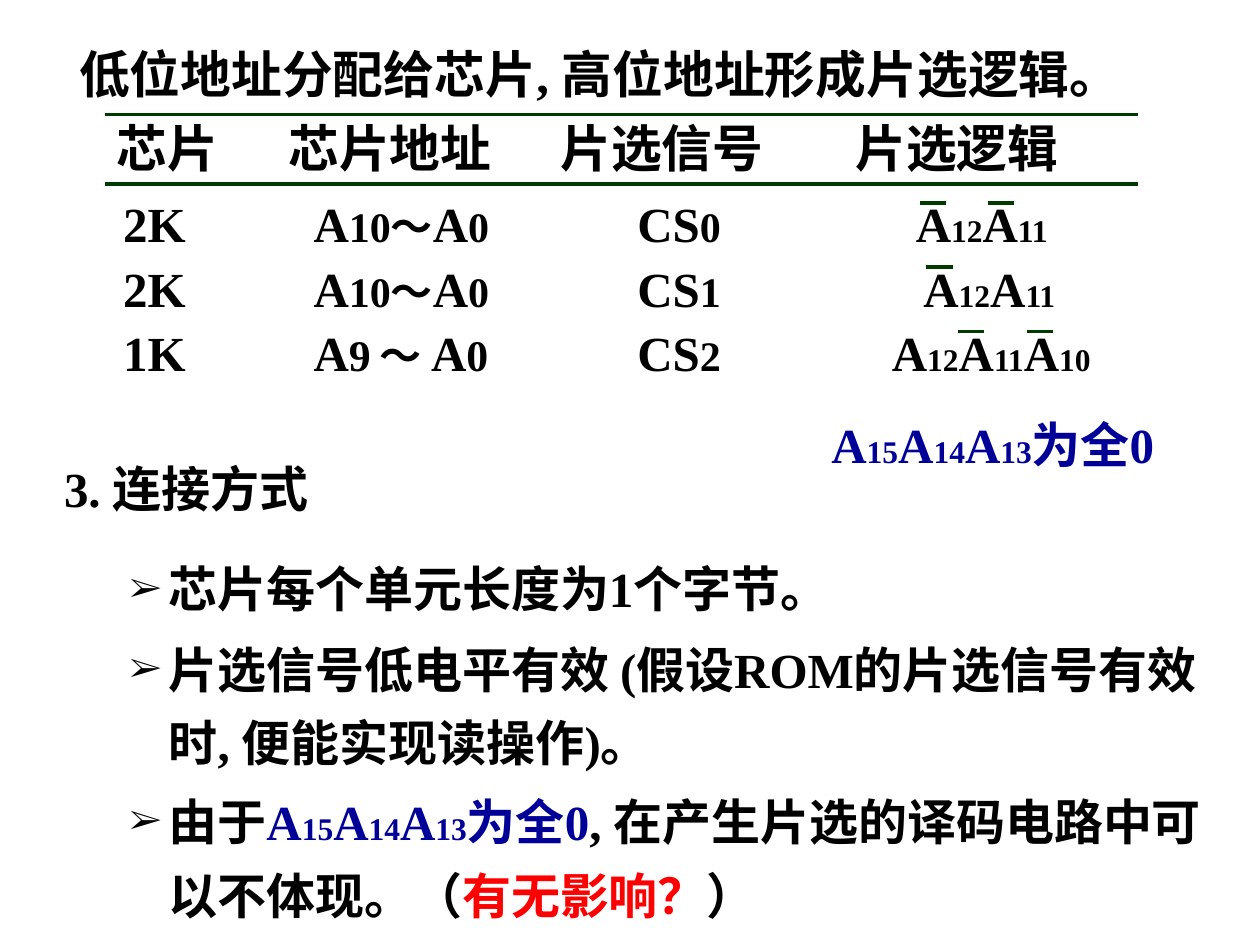
from lxml import etree
from pptx import Presentation
from pptx.dml.color import RGBColor
from pptx.enum.shapes import MSO_CONNECTOR
from pptx.oxml.ns import qn
from pptx.util import Inches, Pt

BLACK = RGBColor(0x00, 0x00, 0x00)
NAVY = RGBColor(0x00, 0x00, 0x99)
RED = RGBColor(0xFF, 0x00, 0x00)
GREEN = RGBColor(0x00, 0x3C, 0x00)

prs = Presentation()
prs.slide_width, prs.slide_height = Inches(10), Inches(7.5)
slide = prs.slides.add_slide(prs.slide_layouts[6])


def add_text(left, top, width, height, *paragraphs):
    box = slide.shapes.add_textbox(Inches(left), Inches(top), Inches(width), Inches(height))
    frame = box.text_frame
    frame.word_wrap = True
    for index, runs in enumerate(paragraphs):
        paragraph = frame.add_paragraph() if index else frame.paragraphs[0]
        for text, size, color in runs:
            run = paragraph.add_run()
            run.text = text
            run.font.name = "Times New Roman"
            run.font.size = Pt(size)
            run.font.bold = True
            run.font.color.rgb = color
    return frame


def add_line(left, top, length):
    line = slide.shapes.add_connector(
        MSO_CONNECTOR.STRAIGHT, Inches(left), Inches(top), Inches(left + length), Inches(top))
    line.line.color.rgb = GREEN
    line.line.width = Pt(2)
    etree.SubElement(line._element.spPr, qn("a:effectLst"))


add_text(0.53, 0.29, 9.54, 0.58, [("低位地址分配给芯片, 高位地址形成片选逻辑。", 29, BLACK)])

header = add_text(0.83, 0.88, 8.17, 0.58, [("芯片\t芯片地址\t片选信号\t片选逻辑", 29, BLACK)])
tabs = etree.SubElement(header.paragraphs[0]._p.get_or_add_pPr(), qn("a:tabLst"))
for position in (1.36, 3.52, 5.86):
    etree.SubElement(tabs, qn("a:tab"), pos=str(Inches(position)), algn="l")
for top in (0.91, 1.46):
    add_line(0.83, top, 8.2)

full_range = [("A", 28), ("10～", 24), ("A", 28), ("0", 24)]
short_range = [("A", 28), ("9", 25), (" ", 20), ("～ ", 24), ("A", 28), ("0", 25)]
chips = [
    ("2K", full_range, "0", 7.17, ("12", "11"), (0.13, 0.67)),
    ("2K", full_range, "1", 7.23, ("12", "11"), (0.12,)),
    ("1K", short_range, "2", 6.98, ("12", "11", "10"), (0.62, 1.17)),
]
for row, (capacity, address, select, logic_left, bits, bars) in enumerate(chips):
    top = 1.49 + row * 0.51
    logic = [part for bit in bits for part in (("A", 28), (bit, 18))]
    cells = [
        (0.88, 1.17, [(capacity, 28)]),
        (2.39, 1.92, address),
        (4.96, 1.22, [("CS", 28), (select, 24)]),
        (logic_left, 2.28, logic),
    ]
    for left, width, parts in cells:
        add_text(left, top, width, 0.57, [(text, size, BLACK) for text, size in parts])
    for offset in bars:
        add_line(logic_left + offset, top + 0.12, 0.21)

all_zero = [part for bit in ("15", "14", "13") for part in (("A", 28, NAVY), (bit, 18, NAVY))]
all_zero.append(("为全0", 28, NAVY))
add_text(6.5, 3.24, 3.25, 0.57, all_zero)
add_text(0.41, 3.59, 3.22, 0.57, [("3. 连接方式", 28, BLACK)])

notes = add_text(
    0.93, 4.27, 8.98, 3.1,
    [("芯片每个单元长度为1个字节。", 28, BLACK)],
    [("片选信号低电平有效 (假设ROM的片选信号有效时, 便能实现读操作)。", 28, BLACK)],
    [("由于", 28, BLACK), *all_zero,
     (", 在产生片选的译码电路中可以不体现。（", 28, BLACK),
     ("有无影响？", 28, RED), ("）", 28, BLACK)],
)
for paragraph, space in zip(notes.paragraphs, (4, 4, 3)):
    paragraph.line_spacing = Pt(42)
    paragraph.space_before = Pt(space)
    properties = paragraph._p.get_or_add_pPr()
    properties.set("marL", str(Inches(0.31)))
    properties.set("indent", str(-Inches(0.31)))
    etree.SubElement(properties, qn("a:buSzPct"), val="71000")
    etree.SubElement(properties, qn("a:buFont"), typeface="Times New Roman")
    etree.SubElement(properties, qn("a:buChar"), char="➢")

prs.save("out.pptx")
